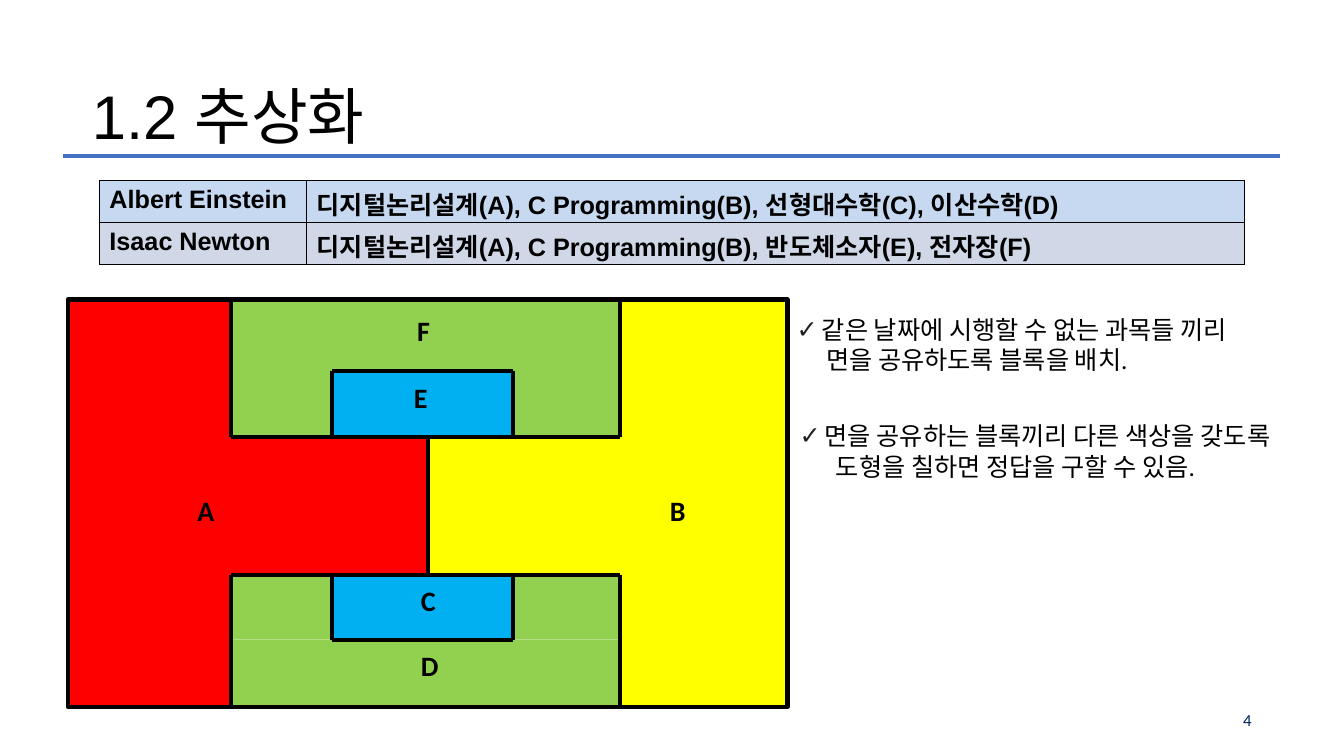
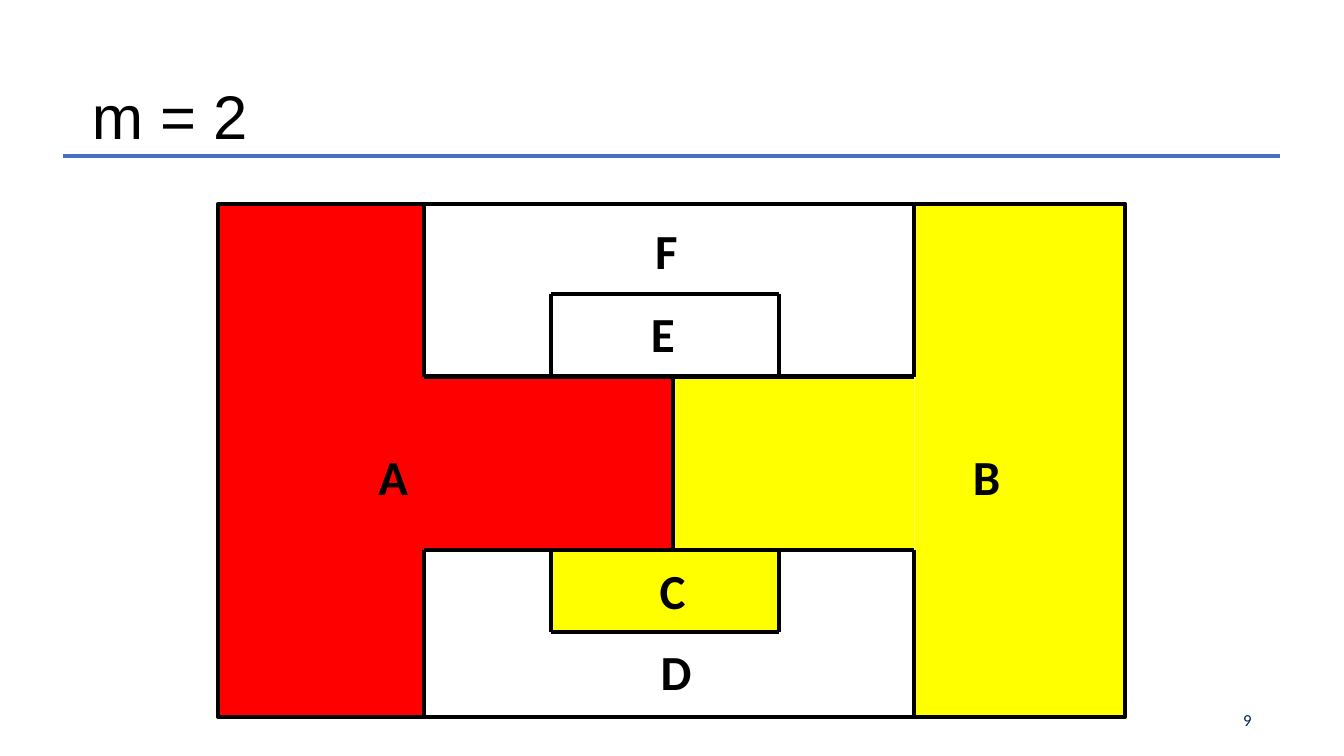
from dataclasses import dataclass

from lxml.etree import SubElement
from pptx import Presentation
from pptx.dml.color import RGBColor as Color
from pptx.enum.shapes import MSO_CONNECTOR as Connector, MSO_SHAPE as Shape
from pptx.enum.text import PP_ALIGN as Align
from pptx.oxml.ns import qn
from pptx.util import Pt


@dataclass(frozen=True)
class Theme:
    ink: str = "000000"
    rule: str = "4471C4"
    page_number: str = "001F5F"
    check: str = "222222"
    red: str = "FF0000"
    yellow: str = "FFFF00"
    green: str = "92D050"
    blue: str = "00B0F0"
    table_rows: tuple = ("C6D9F1", "D0D8E8")
    heading_font: str = "Arial"
    body_font: str = "Calibri"
    title_size: int = 44
    body_size: int = 18
    number_size: int = 12


THEME = Theme()

# The block map at scale 1, in points: its column and row edges.
COLUMNS = (0, 116.5, 188.5, 257.5, 318, 394.5, 514)
ROWS = (0, 51, 98, 196.5, 243, 291)

# Rectangles that make up each block: left, top, right and bottom edge.
BLOCKS = {
    "A": ((0, 0, 1, 5), (1, 2, 3, 3)),
    "B": ((3, 2, 5, 3), (5, 0, 6, 5)),
    "C": ((2, 3, 4, 4),),
    "D": ((1, 4, 5, 5), (1, 3, 2, 4), (4, 3, 5, 4)),
    "E": ((2, 1, 4, 2),),
    "F": ((1, 0, 5, 1), (1, 1, 2, 2), (4, 1, 5, 2)),
}

# Lines between the blocks: start column and row, end column and row.
WALLS = (
    (1, 0, 1, 2), (1, 3, 1, 5), (5, 0, 5, 2), (5, 3, 5, 5),
    (3, 2, 3, 3), (1, 2, 5, 2), (1, 3, 5, 3),
    (2, 3, 2, 4), (4, 3, 4, 4), (2, 4, 4, 4),
    (2, 1, 2, 2), (4, 1, 4, 2), (2, 1, 4, 1),
)

# Centre and top of each block's letter, in points at scale 1.
LETTERS = {
    "A": (98.5, 135),
    "B": (435.5, 135),
    "C": (257.5, 199.5),
    "D": (258.5, 245.5),
    "E": (252, 54),
    "F": (254, 6.5),
}

COURSES = (
    ("Albert Einstein", "디지털논리설계(A), C Programming(B), 선형대수학(C), 이산수학(D)"),
    ("Isaac Newton", "디지털논리설계(A), C Programming(B), 반도체소자(E), 전자장(F)"),
)


def style_runs(para, font, size, color=THEME.ink, bold=False):
    for span in para.runs:
        span.font.name = font
        span.font.size = Pt(size)
        span.font.bold = bold
        span.font.color.rgb = Color.from_string(color)


def add_text(page, text, left, top, width, height, font, size, **style):
    """Add a non-wrapping text box and return its text frame."""
    box = page.shapes.add_textbox(Pt(left), Pt(top), Pt(width), Pt(height))
    frame = box.text_frame
    frame.word_wrap = False
    frame.text = text
    for para in frame.paragraphs:
        style_runs(para, font, size, **style)
    return frame


def add_line(page, start, end, color, width):
    line = page.shapes.add_connector(
        Connector.STRAIGHT, *(Pt(value) for value in (*start, *end)))
    line.line.color.rgb = Color.from_string(color)
    line.line.width = Pt(width)
    SubElement(line.element.spPr, qn("a:effectLst"))


def add_rectangle(page, start, end, fill=None, outline=None):
    (left, top), (right, bottom) = start, end
    tile = page.shapes.add_shape(
        Shape.RECTANGLE, Pt(left), Pt(top), Pt(right - left), Pt(bottom - top))
    tile.shadow.inherit = False
    if fill:
        tile.fill.solid()
        tile.fill.fore_color.rgb = Color.from_string(fill)
    else:
        tile.fill.background()
    if outline:
        tile.line.color.rgb = Color.from_string(outline)
        tile.line.width = Pt(3)
    else:
        tile.line.fill.background()


def add_page(deck, title, number):
    """Add a blank slide with its title, rule and page number."""
    page = deck.slides.add_slide(deck.slide_layouts[6])
    add_line(page, (45, 111.5), (914.5, 111.5), THEME.rule, 2.5)
    add_text(page, title, 58.5, 52, 220, 60, THEME.heading_font, THEME.title_size)
    frame = add_text(page, str(number), 888, 509, 24, 12.4, THEME.body_font,
                     THEME.number_size, color=THEME.page_number)
    frame.margin_left = frame.margin_right = 0
    frame.margin_top = frame.margin_bottom = 0
    frame.paragraphs[0].line_spacing = Pt(12.4)
    return page


def add_cell_borders(cell):
    properties = cell._tc.get_or_add_tcPr()
    for position, side in enumerate(("lnL", "lnR", "lnT", "lnB")):
        border = properties.makeelement(qn(f"a:{side}"), {"w": str(Pt(1))})
        fill = SubElement(border, qn("a:solidFill"))
        SubElement(fill, qn("a:srgbClr"), val=THEME.ink)
        properties.insert(position, border)


def add_course_table(page, left, top, column_widths, row_height):
    frame = page.shapes.add_table(
        len(COURSES), len(column_widths), Pt(left), Pt(top),
        Pt(sum(column_widths)), Pt(row_height * len(COURSES)))
    table = frame.table
    for column, width in zip(table.columns, column_widths):
        column.width = Pt(width)
    for row, texts, shade in zip(table.rows, COURSES, THEME.table_rows):
        for cell, text in zip(row.cells, texts):
            cell.text = text
            style_runs(cell.text_frame.paragraphs[0], THEME.heading_font,
                       THEME.body_size, bold=True)
            cell.fill.solid()
            cell.fill.fore_color.rgb = Color.from_string(shade)
            add_cell_borders(cell)


def add_block_map(page, left, top, scale, letter_size, colors):
    """Draw the blocks (unfilled without a color), their walls and letters."""
    def corner(column, row):
        return left + COLUMNS[column] * scale, top + ROWS[row] * scale

    for name, tiles in BLOCKS.items():
        for tile in tiles:
            if name in colors:
                add_rectangle(page, corner(*tile[:2]), corner(*tile[2:]),
                              fill=colors[name])
    add_rectangle(page, corner(0, 0), corner(-1, -1), outline=THEME.ink)
    for wall in WALLS:
        add_line(page, corner(*wall[:2]), corner(*wall[2:]), THEME.ink, 3)

    letter_width = 34
    for name, (center, upper) in LETTERS.items():
        frame = add_text(
            page, name, left + center * scale - letter_width / 2,
            top + upper * scale, letter_width, letter_size * 1.4,
            THEME.body_font, letter_size, bold=True)
        frame.paragraphs[0].alignment = Align.CENTER


def add_check(page, first_line, second_line, left, top, width, second_indent):
    """Add a ticked line and an indented line that continues it."""
    frame = add_text(page, f"{first_line}\n{second_line}", left, top, width, 51,
                     THEME.body_font, THEME.body_size)
    hang = Pt(18)
    ticked, continued = (para._p.get_or_add_pPr() for para in frame.paragraphs)
    ticked.set("marL", str(hang))
    ticked.set("indent", str(-hang))
    color = SubElement(ticked, qn("a:buClr"))
    SubElement(color, qn("a:srgbClr"), val=THEME.check)
    SubElement(ticked, qn("a:buFont"), typeface=THEME.heading_font)
    SubElement(ticked, qn("a:buChar"), char="✓")
    continued.set("marL", str(Pt(second_indent)))


def main():
    deck = Presentation()
    deck.slide_width, deck.slide_height = Pt(960), Pt(540)

    page = add_page(deck, "1.2 추상화", 4)
    add_course_table(page, 71, 129, (148, 670), 30)
    add_block_map(page, 48.5, 214, 1, 20, {
        "A": THEME.red, "B": THEME.yellow, "C": THEME.blue,
        "D": THEME.green, "E": THEME.blue, "F": THEME.green})
    add_check(page, "같은 날짜에 시행할 수 없는 과목들 끼리",
              "면을 공유하도록 블록을 배치.", 562, 221, 354, 21)
    add_check(page, "면을 공유하는 블록끼리 다른 색상을 갖도록",
              "도형을 칠하면 정답을 구할 수 있음.", 564, 297, 381, 26)

    page = add_page(deck, "m = 2", 9)
    add_block_map(page, 156, 145.5, 1.25 + 0.01, 35, {
        "A": THEME.red, "B": THEME.yellow, "C": THEME.yellow})

    deck.save("out.pptx")


if __name__ == "__main__":
    main()
